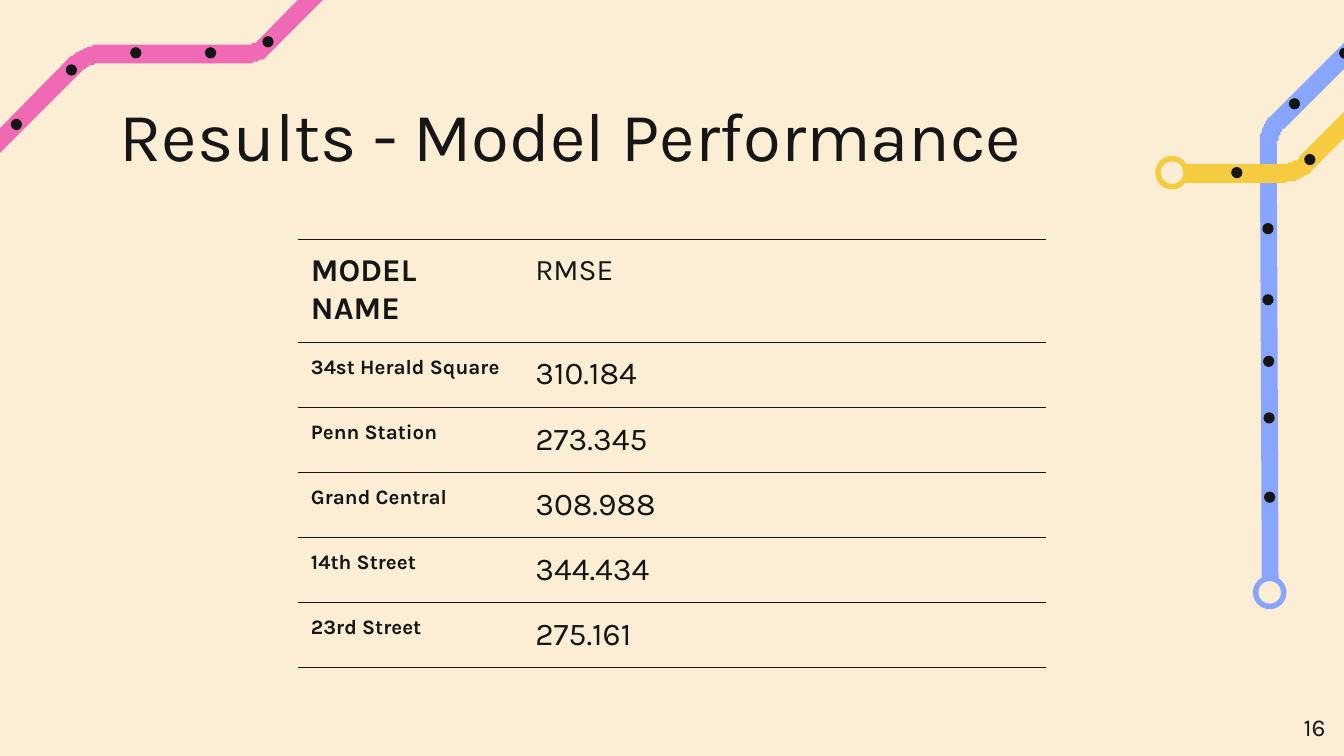
from math import hypot

from lxml import etree
from pptx import Presentation
from pptx.dml.color import RGBColor
from pptx.enum.shapes import MSO_SHAPE
from pptx.enum.text import MSO_ANCHOR, PP_ALIGN
from pptx.oxml.ns import qn
from pptx.util import Pt

OVAL = MSO_SHAPE.OVAL
TOP, MIDDLE = MSO_ANCHOR.TOP, MSO_ANCHOR.MIDDLE
LEFT, RIGHT = PP_ALIGN.LEFT, PP_ALIGN.RIGHT

CREAM, INK = "FCEDD5", "161616"
PINK, BLUE, YELLOW = "F069B4", "88A6FF", "F5CC3F"


def color(value):
    return RGBColor.from_string(value)


def toward(start, end, distance):
    """Point at a distance from start on the way to end."""
    length = hypot(end[0] - start[0], end[1] - start[1])
    return tuple(s + (e - s) * distance / length for s, e in zip(start, end))


def round_corner(before, corner, after, trim, steps=16):
    """Points of a curve that replaces a corner."""
    first, last = toward(corner, before, trim), toward(corner, after, trim)
    handles = [toward(p, corner, trim * 0.55) for p in (first, last)]
    curve = []
    for step in range(steps + 1):
        t = step / steps
        weights = ((1 - t) ** 3, 3 * t * (1 - t) ** 2, 3 * t * t * (1 - t), t ** 3)
        points = (first, *handles, last)
        curve.append(tuple(sum(w * p[axis] for w, p in zip(weights, points))
                           for axis in (0, 1)))
    return curve


def band(center, width):
    """Outline of a band of even width along a centre line."""
    left, right = [], []
    for i, (x, y) in enumerate(center):
        x1, y1 = center[max(i - 1, 0)]
        x2, y2 = center[min(i + 1, len(center) - 1)]
        scale = width / 2 / hypot(x2 - x1, y2 - y1)
        dx, dy = (y2 - y1) * scale, (x1 - x2) * scale
        left.append((x + dx, y + dy))
        right.append((x - dx, y - dy))
    return left + right[::-1]


class SlideBuilder:
    font = "Karla"
    inset = Pt(7.2)
    route_width = 9.8
    stop_size = 6

    def __init__(self, page):
        self.page = page
        page.background.fill.solid()
        page.background.fill.fore_color.rgb = color(CREAM)

    def paint(self, shape, fill):
        shape.shadow.inherit = False
        shape.fill.solid()
        shape.fill.fore_color.rgb = color(fill)
        shape.line.fill.background()

    def circle(self, x, y, size, fill):
        shape = self.page.shapes.add_shape(
            OVAL, Pt(x - size / 2), Pt(y - size / 2), Pt(size), Pt(size))
        self.paint(shape, fill)

    def route(self, points, trims, fill):
        center = [points[0]]
        for before, corner, after, trim in zip(points, points[1:], points[2:], trims):
            center += round_corner(before, corner, after, trim)
        center.append(points[-1])
        outline = band(center, self.route_width)
        builder = self.page.shapes.build_freeform(*outline[0], scale=Pt(1))
        builder.add_line_segments(outline[1:], close=True)
        self.paint(builder.convert_to_shape(), fill)

    def stops(self, centers):
        for x, y in centers:
            self.circle(x, y, self.stop_size, INK)

    def terminal(self, x, y, fill):
        self.circle(x, y, 18, fill)
        self.circle(x, y, 12, CREAM)

    def add_span(self, frame, text, size, bold=False, align=LEFT):
        para = frame.paragraphs[0]
        para.alignment = align
        span = para.add_run()
        span.text = text
        span.font.name = self.font
        span.font.size = Pt(size)
        span.font.bold = bold
        span.font.color.rgb = color(INK)

    def text(self, x, y, width, height, text, size, align=LEFT, anchor=TOP):
        box = self.page.shapes.add_textbox(Pt(x), Pt(y), Pt(width), Pt(height))
        frame = box.text_frame
        frame.word_wrap = True
        frame.vertical_anchor = anchor
        frame.margin_left = frame.margin_right = self.inset
        frame.margin_top = frame.margin_bottom = self.inset
        self.add_span(frame, text, size, align=align)

    def rule_cell(self, cell):
        """Horizontal rules above and below, nothing at the sides."""
        props = cell._tc.get_or_add_tcPr()
        for side in ("L", "R", "T", "B"):
            line = etree.SubElement(props, qn(f"a:ln{side}"), w=str(Pt(0.75)))
            if side in "LR":
                etree.SubElement(line, qn("a:noFill"))
            else:
                fill = etree.SubElement(line, qn("a:solidFill"))
                etree.SubElement(fill, qn("a:srgbClr"), val=INK)
        cell.fill.background()

    def table(self, x, y, widths, heights, rows):
        """Rows hold (text, size, bold) for each cell."""
        table = self.page.shapes.add_table(
            len(rows), len(widths), Pt(x), Pt(y),
            Pt(sum(widths)), Pt(sum(heights))).table
        table.first_row = table.horz_banding = False
        for column, width in zip(table.columns, widths):
            column.width = Pt(width)
        for row, height, values in zip(table.rows, heights, rows):
            row.height = Pt(height)
            for cell, value in zip(row.cells, values):
                cell.margin_left = cell.margin_right = self.inset
                cell.margin_top = cell.margin_bottom = self.inset
                self.rule_cell(cell)
                self.add_span(cell.text_frame, *value)


def main():
    deck = Presentation()
    deck.slide_width, deck.slide_height = Pt(720), Pt(405)
    slide = SlideBuilder(deck.slides.add_slide(deck.slide_layouts[6]))

    # Blue line on the right
    slide.route([(668.2, -167.8), (740.2, -95.8), (740.4, 9.2),
                 (679.4, 70.2), (680.4, 320)], [7, 7, 7], BLUE)
    slide.stops([(720.4, 28.5), (693.5, 55.6), (679.3, 122.5), (679.3, 160.6),
                 (679.7, 193.6), (679.9, 223.9), (680.2, 266.4)])
    slide.terminal(680.2, 317.4, BLUE)

    # Pink line at the top left
    slide.route([(195.8, -29.5), (137.5, 28.8), (46.8, 28.8), (-12.2, 87.8),
                 (-143.3, 87.8), (-143.3, 239.8), (-56.2, 326.9)],
                [4, 7, 4, 125, 5], PINK)
    slide.stops([(8.8, 66.7), (38.3, 37.5), (72.8, 28.3), (112.8, 28.3), (143.6, 22.4)])

    # Title
    slide.text(57, 42.5, 555, 110, "Results - Model Performance", 37)

    # Error of each station's model
    results = [("34st Herald Square", "310.184"), ("Penn Station", "273.345"),
               ("Grand Central", "308.988"), ("14th Street", "344.434"),
               ("23rd Street", "275.161")]
    rows = [[("MODEL NAME", 17, True), ("RMSE", 16, False)]]
    rows += [[(station, 11, True), (error, 17, False)] for station, error in results]
    slide.table(159.4, 128.2, [120.2, 280.8], [54.2] + [34.3] * len(results), rows)

    # Yellow line across the blue one
    slide.route([(622.8, 92.7), (694.8, 92.7), (824.4, -36.9), (717.8, -143.5),
                 (717.8, -213.8), (761, -257)], [7, 121, 4, 4], YELLOW)
    slide.stops([(662.6, 92.5), (701.7, 85.5)])
    slide.terminal(627.9, 92.5, YELLOW)

    # Page number
    slide.text(673.9, 373.7, 43.2, 31, "16", 13, RIGHT, MIDDLE)

    deck.save("out.pptx")


if __name__ == "__main__":
    main()
